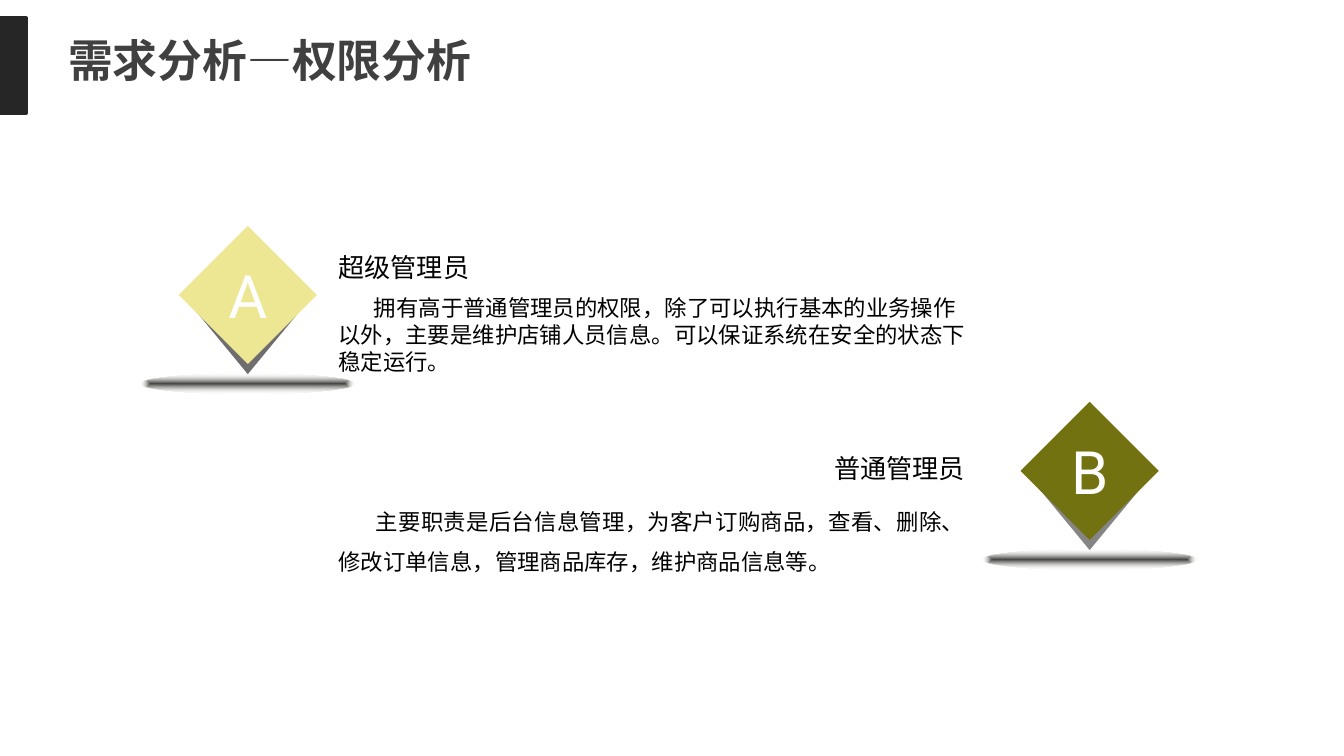
from lxml import etree
from pptx import Presentation
from pptx.dml.color import RGBColor
from pptx.enum import shapes, text
from pptx.oxml import parse_xml
from pptx.oxml.ns import nsdecls, qn
from pptx.util import Pt

TITLE = "需求分析—权限分析"
ROLES = [
    dict(letter="A", name="超级管理员",
         duty="拥有高于普通管理员的权限，除了可以执行基本的业务操作以外，主要是维护店铺人员信息。可以保证系统在安全的状态下稳定运行。",
         marker=(95.75, 121), text_box=(174.25, 121, 350.6, 82.8),
         face="EDE793", back="6E6E6E", name_align="JUSTIFY",
         duty_align="LEFT", duty_leading=14.5, indent=19),
    dict(letter="B", name="普通管理员",
         duty="主要职责是后台信息管理，为客户订购商品，查看、删除、修改订单信息，管理商品库存，维护商品信息等。",
         marker=(546.75, 215.25), text_box=(174.25, 229, 349.9, 80.6),
         face="737211", back="858585", name_align="RIGHT",
         duty_align="JUSTIFY", duty_leading=21.5, indent=20),
]
THEME = dict(cjk="Noto Sans CJK SC", latin="Roboto",
             bar="262626", title="404040", body="000000", letter="FFFFFF",
             shadow_core="404040", shadow_edge="EEECE1",
             title_size=24, name_size=14, duty_size=12, letter_size=32)
FACE = 74
BACK = (61.2, 74.2)
BACK_DROP = 5.25
SHADOW = (114.5, 10.8)
SHADOW_DROP = 79


def add_shape(parent, kind, left, top, width, height, color):
    shape = parent.add_shape(kind, Pt(left), Pt(top), Pt(width), Pt(height))
    shape.shadow.inherit = False
    shape.fill.solid()
    shape.fill.fore_color.rgb = RGBColor.from_string(color)
    shape.line.fill.background()
    return shape


def add_box(left, top, width, height, insets):
    box = page.shapes.add_textbox(Pt(left), Pt(top), Pt(width), Pt(height))
    set_frame(box.text_frame, insets)
    return box.text_frame


def set_frame(frame, insets):
    frame.word_wrap = True
    frame.margin_left = frame.margin_right = Pt(insets[0])
    frame.margin_top = frame.margin_bottom = Pt(insets[1])


def write(para, words, face, size, color, align="LEFT", leading=None,
          after=0, indent=0, bold=False):
    para.text = words
    para.alignment = getattr(text.PP_ALIGN, align)
    para.space_after = Pt(after)
    if leading:
        para.line_spacing = Pt(leading)
    if indent:
        para._p.get_or_add_pPr().set("indent", str(Pt(indent)))
    para.font.name = face
    para.font.size = Pt(size)
    para.font.bold = bold
    para.font.color.rgb = RGBColor.from_string(color)
    defaults = para._p.pPr.find(qn("a:defRPr"))
    etree.SubElement(defaults, qn("a:ea")).set("typeface", face)


def fade(shape):
    solid = shape._element.spPr.find(qn("a:solidFill"))
    gradient = parse_xml(
        f'<a:gradFill {nsdecls("a")} rotWithShape="1"><a:gsLst>'
        f'<a:gs pos="0"><a:srgbClr val="{THEME["shadow_core"]}"/></a:gs>'
        f'<a:gs pos="100000"><a:srgbClr val="{THEME["shadow_edge"]}">'
        '<a:alpha val="0"/></a:srgbClr></a:gs></a:gsLst>'
        '<a:path path="shape"><a:fillToRect l="50000" t="50000" r="50000" b="50000"/>'
        '</a:path></a:gradFill>')
    solid.getparent().replace(solid, gradient)


def add_shadow(role):
    left, top = role["marker"]
    width, height = SHADOW
    fade(add_shape(page.shapes, shapes.MSO_SHAPE.OVAL, left + (FACE - width) / 2,
                   top + SHADOW_DROP, width, height, THEME["shadow_core"]))


def add_marker(role):
    left, top = role["marker"]
    diamond = shapes.MSO_SHAPE.DIAMOND
    group = page.shapes.add_group_shape().shapes
    add_shape(group, diamond, left + (FACE - BACK[0]) / 2, top + BACK_DROP,
              *BACK, role["back"])
    face = add_shape(group, diamond, left, top, FACE, FACE, role["face"])
    set_frame(face.text_frame, (0, 0))
    face.text_frame.vertical_anchor = text.MSO_ANCHOR.MIDDLE
    write(face.text_frame.paragraphs[0], role["letter"], THEME["latin"],
          THEME["letter_size"], THEME["letter"], "CENTER")


def add_description(role):
    frame = add_box(*role["text_box"], (7.2, 4.3))
    write(frame.paragraphs[0], role["name"], THEME["cjk"], THEME["name_size"],
          THEME["body"], role["name_align"], leading=26, after=6)
    write(frame.add_paragraph(), role["duty"], THEME["cjk"], THEME["duty_size"],
          THEME["body"], role["duty_align"], leading=role["duty_leading"],
          indent=role["indent"])


deck = Presentation()
deck.slide_width, deck.slide_height = Pt(720), Pt(405)
page = deck.slides.add_slide(deck.slide_layouts[6])

bar = add_shape(page.shapes, shapes.MSO_SHAPE.RECTANGLE, 0, 9.75, 14, 51, THEME["bar"])
bar.line.color.rgb = RGBColor.from_string(THEME["bar"])
bar.line.width = Pt(2)

title = add_box(36.5, 15, 255.6, 29, (0, 0))
write(title.paragraphs[0], TITLE, THEME["cjk"], THEME["title_size"],
      THEME["title"], leading=31.5, bold=True)

for add_part in (add_shadow, add_marker, add_description):
    for role in ROLES:
        add_part(role)

deck.save("out.pptx")
